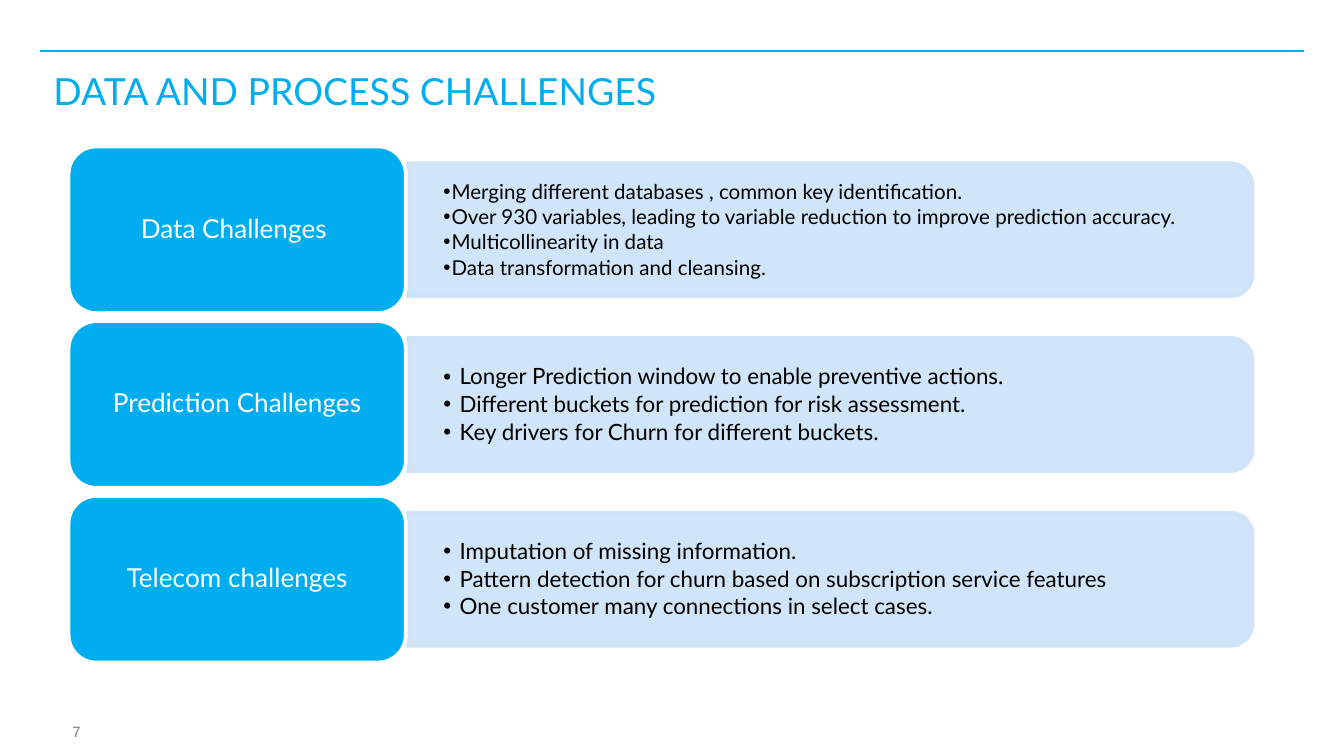
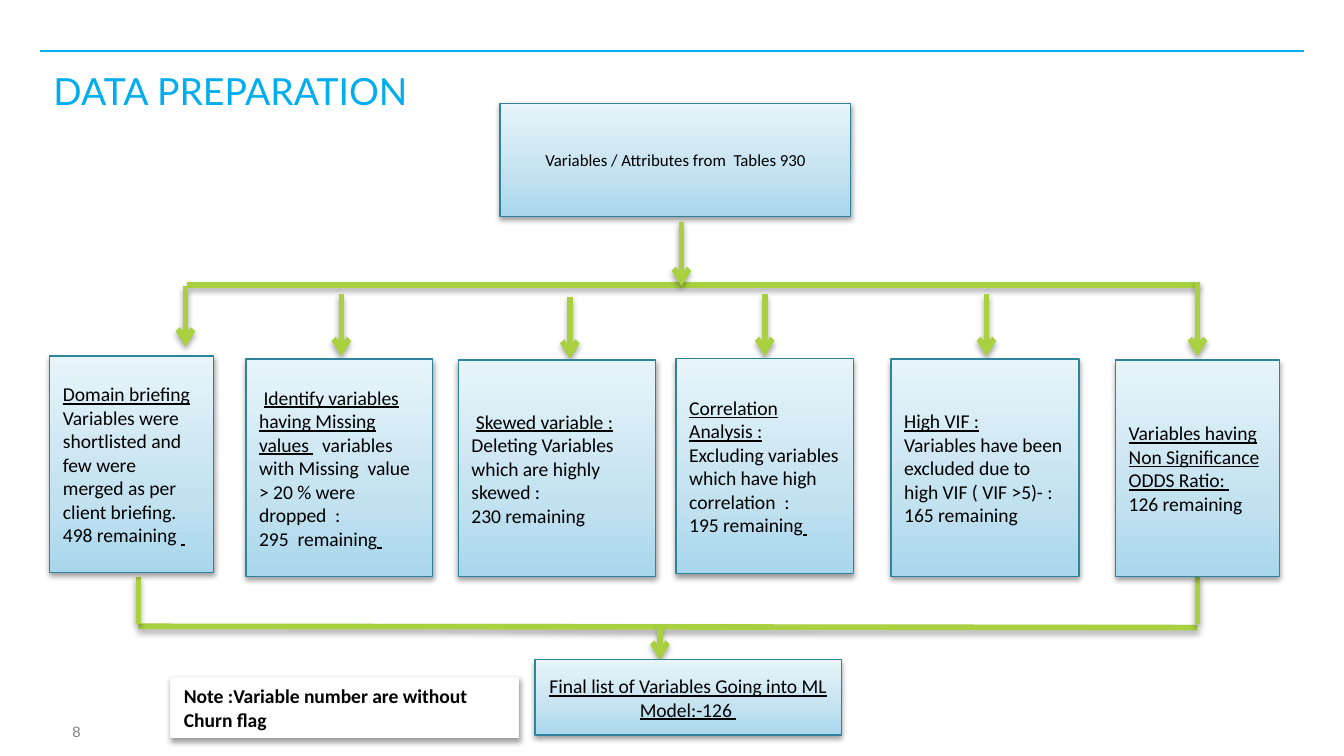
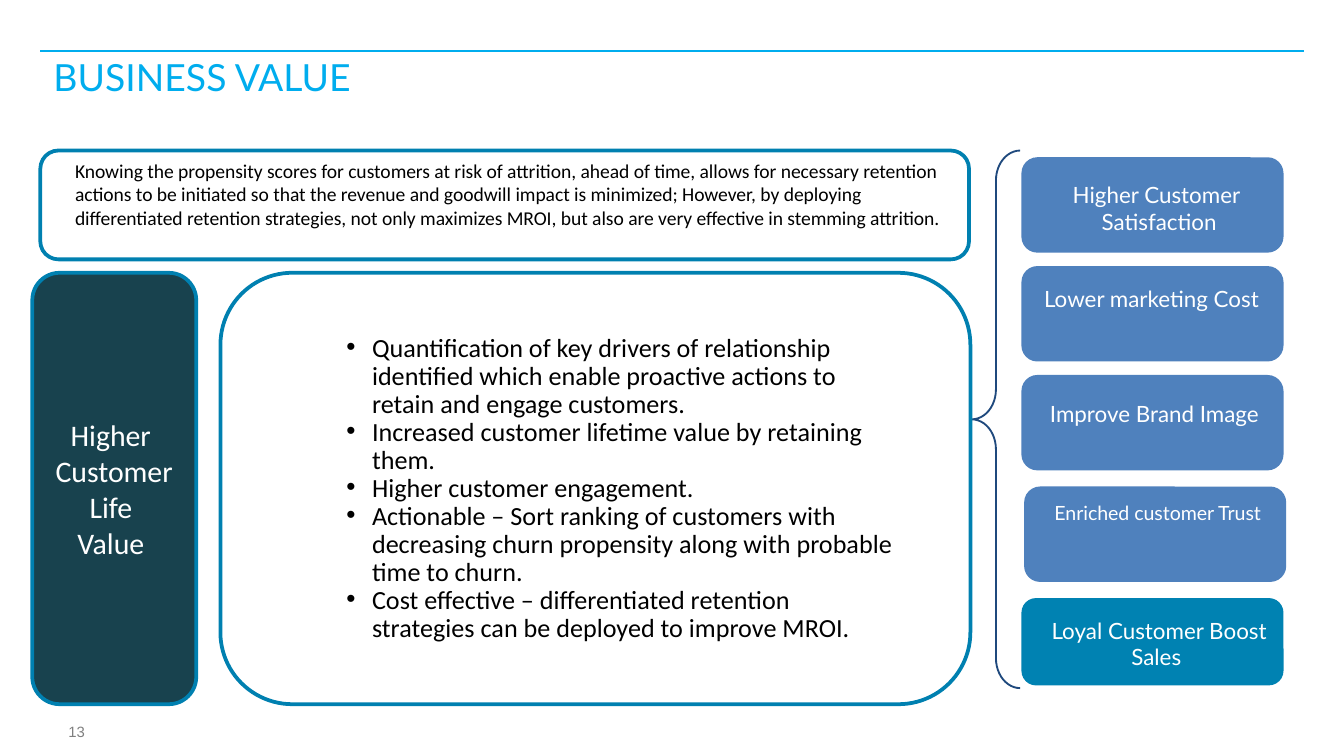
from copy import deepcopy
from lxml.etree import SubElement
from pptx import Presentation
from pptx.dml.color import RGBColor
from pptx.enum.shapes import MSO_CONNECTOR, MSO_SHAPE as Preset
from pptx.enum.text import MSO_ANCHOR as Anchor, PP_ALIGN as Align
from pptx.oxml.ns import qn
from pptx.util import Inches, Pt

SKY = RGBColor(0x00, 0xAD, 0xEE)
PALE = RGBColor(0xCC, 0xE3, 0xF8)
WHITE = RGBColor(0xFF, 0xFF, 0xFF)
BLACK = RGBColor(0x00, 0x00, 0x00)
GREY = RGBColor(0x80, 0x80, 0x80)
NOTE_EDGE = RGBColor(0xF9, 0xF9, 0xF9)
LIME = RGBColor(0xA8, 0xD0, 0x3F)
TEAL = RGBColor(0x2D, 0x84, 0x9B)
DEEP_TEAL = RGBColor(0x18, 0x42, 0x4E)
OCEAN = RGBColor(0x00, 0x80, 0xB0)
LOYAL = RGBColor(0x00, 0x82, 0xB2)
STEEL = RGBColor(0x4F, 0x81, 0xBD)
NAVY = RGBColor(0x1F, 0x49, 0x7D)
STEP_GRADIENT = [
    (0, RGBColor(0xA8, 0xD6, 0xEC)),
    (0.35, RGBColor(0xC3, 0xE2, 0xF0)),
    (1, RGBColor(0xE7, 0xF4, 0xFA)),
]

SLIDE_WIDTH = Inches(10)
SLIDE_HEIGHT = SLIDE_WIDTH * 9 // 16
LATO = {"name": "Lato"}
CALIBRI = {"name": "Calibri", "size": Pt(10.5)}
NO_INSETS = (0, 0, 0, 0)
DEFAULT_INSETS = (0.1, 0.05, 0.1, 0.05)

CHALLENGES = [
    ("Data Challenges ", 11, 0.06, [
        "Merging different databases , common key identification.",
        "Over 930 variables, leading to variable reduction to improve prediction accuracy.",
        "Multicollinearity in data",
        "Data transformation and cleansing.",
    ]),
    ("Prediction Challenges", 12, 0.12, [
        "Longer Prediction window to enable preventive actions.",
        "Different buckets for prediction for risk assessment.",
        "Key drivers for Churn for different buckets.",
    ]),
    ("Telecom challenges", 12, 0.12, [
        "Imputation of missing information.",
        "Pattern detection for churn based on subscription service features",
        "One customer many connections in select cases.",
    ]),
]

ALL_VARIABLES = "Variables / Attributes from  Tables 930"
FINAL_LIST = "Final list of Variables Going into ML Model:-126 "
CHURN_NOTE = "Note :Variable number are without Churn flag"
UNDERLINED = True
PLAIN = False
STEPS = [
    ((0.37, 2.65, 1.22, 1.61), [
        [("Domain briefing", UNDERLINED)],
        [("Variables were shortlisted and few were merged as per client briefing. ", PLAIN)],
        [("498 remaining ", PLAIN), (" ", UNDERLINED)],
    ]),
    ((1.83, 2.67, 1.39, 1.62), [
        [(" ", PLAIN), ("Identify variables having Missing values ", UNDERLINED),
         ("  variables with Missing  value > 20 % were dropped  :", PLAIN)],
        [("295  remaining", PLAIN), (" ", UNDERLINED)],
    ]),
    ((3.41, 2.68, 1.47, 1.61), [
        [(" ", PLAIN), ("Skewed variable :", UNDERLINED)],
        [("Deleting Variables which are highly skewed :", PLAIN)],
        [("230 remaining", PLAIN)],
    ]),
    ((5.03, 2.67, 1.32, 1.6), [
        [("Correlation Analysis :", UNDERLINED),
         (" Excluding variables which have high correlation  :", PLAIN)],
        [("195 remaining", PLAIN), (" ", UNDERLINED)],
    ]),
    ((6.63, 2.67, 1.4, 1.62), [
        [("High VIF :", UNDERLINED), (" ", PLAIN)],
        [("Variables have been excluded due to high VIF ( VIF >5)- :", PLAIN)],
        [("165 remaining", PLAIN)],
    ]),
    ((8.3, 2.68, 1.22, 1.61), [
        [("Variables having Non Significance ODDS Ratio: ", UNDERLINED)],
        [("126 remaining", PLAIN)],
    ]),
]
ARROWS = [
    (5.07, 1.65, 2.13), (1.38, 2.13, 2.58), (2.54, 2.19, 2.65), (4.24, 2.21, 2.67),
    (5.69, 2.19, 2.65), (7.34, 2.19, 2.65), (8.91, 2.1, 2.65), (4.91, 4.66, 4.91),
]
RAILS = [
    (1.39, 2.12, 8.91, 2.12), (1.03, 4.66, 8.91, 4.67),
    (1.03, 4.29, 1.03, 4.64), (8.91, 4.29, 8.91, 4.64),
]

PROPENSITY = (
    "Knowing the propensity scores for customers at risk of attrition, ahead of time, "
    "allows for necessary retention actions to be initiated so that the revenue and goodwill "
    "impact is minimized; However, by deploying differentiated retention strategies, not only "
    "maximizes MROI, but also are very effective in stemming attrition."
)
LIFE_VALUE = ["Higher ", "Customer", "Life ", "Value "]
GAINS = [
    "Quantification of key drivers of relationship identified which enable proactive actions "
    "to retain and engage customers.",
    "Increased customer lifetime value by retaining them.",
    "Higher customer engagement.",
    "Actionable – Sort ranking of customers with decreasing churn propensity along with "
    "probable time to churn.",
    "Cost effective – differentiated retention strategies can be deployed to improve MROI.",
]
BENEFITS = [
    (["Higher Customer ", "Satisfaction"], 12, (7.6, 1.17, 1.95, 0.71), STEEL, (7.87, 1.3, 1.51, 0.5), False),
    (["Lower marketing Cost "], 12, (7.6, 1.98, 1.95, 0.71), STEEL, (7.66, 2.07, 1.86, 0.3), False),
    (["Improve Brand Image"], 12, (7.6, 2.79, 1.95, 0.71), STEEL, (7.69, 2.93, 1.8, 0.3), False),
    (["Enriched customer Trust"], 10.5, (7.62, 3.62, 1.95, 0.71), STEEL, (7.56, 3.68, 2.11, 0.28), True),
    (["Loyal Customer Boost Sales "], 12, (7.6, 4.45, 1.95, 0.65), LOYAL, (7.65, 4.54, 1.95, 0.5), True),
]


def set_all(target, values):
    for name, value in values.items():
        setattr(target, name, value)


def add_bullet(paragraph, indent, hanging):
    props = paragraph._p.get_or_add_pPr()
    props.set("marL", str(Inches(indent)))
    props.set("indent", str(-Inches(hanging)))
    SubElement(props, qn("a:buFont"), typeface="Arial")
    SubElement(props, qn("a:buChar"), char="•")


def write(shape, lines, font, color, anchor=Anchor.TOP, insets=DEFAULT_INSETS,
          wrap=True, bullet=None, **layout):
    frame = shape.text_frame
    sides = ("margin_left", "margin_top", "margin_right", "margin_bottom")
    set_all(frame, {side: Inches(inset) for side, inset in zip(sides, insets)})
    set_all(frame, {"word_wrap": wrap, "vertical_anchor": anchor})
    for number, line in enumerate(lines):
        paragraph = frame.add_paragraph() if number else frame.paragraphs[0]
        if bullet:
            add_bullet(paragraph, *bullet)
        set_all(paragraph, {"alignment": Align.LEFT, **layout})
        for text, underline in [(line, None)] if isinstance(line, str) else line:
            run = paragraph.add_run()
            run.text = text
            set_all(run.font, {**font, "underline": underline})
            run.font.color.rgb = color


def add_text(slide, box, lines, font, color, **options):
    write(slide.shapes.add_textbox(*map(Inches, box)), lines, font, color, **options)


def add_box(slide, preset, box, fill=None, edge=None, width=2.0):
    shape = slide.shapes.add_shape(preset, *map(Inches, box))
    shape.shadow.inherit = False
    if fill is None:
        shape.fill.background()
    else:
        shape.fill.solid()
        shape.fill.fore_color.rgb = fill
    if edge is None:
        shape.line.fill.background()
    else:
        shape.line.color.rgb = edge
        shape.line.width = Pt(width)
    return shape


def cast_shadow(effects, alpha, distance):
    shadow = SubElement(effects, qn("a:outerShdw"), blurRad=str(Pt(3.1)), dist=str(Pt(distance)),
                        dir="5400000", rotWithShape="0")
    tint = SubElement(shadow, qn("a:srgbClr"), val=str(BLACK))
    SubElement(tint, qn("a:alpha"), val=str(alpha * 1000))


def add_line(slide, ends, color, width):
    line = slide.shapes.add_connector(MSO_CONNECTOR.STRAIGHT, *map(Inches, ends))
    line.line.color.rgb = color
    line.line.width = Pt(width)
    return line, SubElement(line.element.spPr, qn("a:effectLst"))


def add_flow(slide, ends, arrow=False):
    line, effects = add_line(slide, ends, LIME, 3)
    cast_shadow(effects, 35, 1.8)
    if arrow:
        SubElement(line.element.spPr.find(qn("a:ln")), qn("a:tailEnd"), type="arrow")


def add_raised(slide, box, fill, edge):
    shape = add_box(slide, Preset.RECTANGLE, box, fill, edge, 0.75)
    cast_shadow(shape.element.spPr.find(qn("a:effectLst")), 38, 1.6)
    return shape


def add_step(slide, box, lines, **options):
    shape = add_raised(slide, box, WHITE, TEAL)
    shape.fill.gradient()
    shape.fill.gradient_angle = 90
    stops = shape.element.spPr.find(".//" + qn("a:gsLst"))
    stops.append(deepcopy(stops[0]))
    for stop, (position, color) in zip(shape.fill.gradient_stops, STEP_GRADIENT):
        stop.position = position
        stop.color.rgb = color
    write(shape, lines, **{"font": CALIBRI, "color": BLACK, "anchor": Anchor.MIDDLE, **options})


def start_slide(deck, title, number, anchor=Anchor.MIDDLE, insets=DEFAULT_INSETS):
    slide = deck.slides.add_slide(deck.slide_layouts[6])
    add_line(slide, (0.3, 0.38, 9.7, 0.38), SKY, 0.75)
    add_text(slide, (0.31, 5.38, 0.52, 0.24), [number], {"name": "Arial", "size": Pt(8)}, GREY,
             insets=(0.1, 0, 0.1, 0), alignment=Align.CENTER)
    add_text(slide, (0.3, 0.4, 9, 0.55), [title], {**LATO, "size": Pt(20)}, SKY,
             anchor=anchor, insets=insets)
    return slide


def build_challenges(deck):
    slide = start_slide(deck, "DATA AND PROCESS CHALLENGES", "7")
    depth, length = 0.99, 6.29
    for row, (heading, size, indent, points) in enumerate(CHALLENGES):
        top = 1.09 + 1.3 * row
        middle = top + 0.62
        panel = add_box(slide, Preset.ROUND_2_SAME_RECTANGLE,
                        (3.03 + (length - depth) / 2, middle - length / 2, depth, length), PALE, PALE)
        panel.rotation = 90
        for tint in panel.element.spPr.iter(qn("a:srgbClr")):
            SubElement(tint, qn("a:alpha"), val="90000")
        add_text(slide, (3.03, top + 0.18, 6.24, 0.89), points, {**LATO, "size": Pt(size)}, BLACK,
                 anchor=Anchor.MIDDLE, insets=(0.27, 0.14, 0.27, 0.14), bullet=(indent, indent),
                 line_spacing=0.9, space_after=Pt(size * 0.15))
        card = add_box(slide, Preset.ROUNDED_RECTANGLE, (0.51, top, 2.51, 1.24), SKY, WHITE)
        write(card, [heading], {**LATO, "size": Pt(14)}, WHITE, anchor=Anchor.MIDDLE,
              alignment=Align.CENTER, line_spacing=0.9)


def build_preparation(deck):
    slide = start_slide(deck, "DATA PREPARATION", "8")
    add_step(slide, (3.72, 0.77, 2.61, 0.84), [ALL_VARIABLES],
             font={**CALIBRI, "size": Pt(9)}, alignment=Align.CENTER)
    for ends in RAILS:
        add_flow(slide, ends)
    for x, top, bottom in ARROWS:
        add_flow(slide, (x, top, x, bottom), arrow=True)
    for box, lines in STEPS:
        add_step(slide, box, lines)
    add_step(slide, (3.98, 4.91, 2.28, 0.56), [[(FINAL_LIST, UNDERLINED)]], alignment=Align.CENTER)
    note = add_raised(slide, (1.27, 5.04, 2.59, 0.45), WHITE, NOTE_EDGE)
    write(note, [CHURN_NOTE], {**CALIBRI, "bold": True}, BLACK)


def build_value(deck):
    slide = start_slide(deck, "BUSINESS VALUE", "13", Anchor.TOP, (0.1, 0, 0.1, 0))
    life = add_box(slide, Preset.ROUNDED_RECTANGLE, (0.24, 2.03, 1.22, 3.21), DEEP_TEAL, OCEAN)
    write(life, LIFE_VALUE, {**CALIBRI, "size": Pt(16)}, WHITE, anchor=Anchor.MIDDLE,
          insets=NO_INSETS, alignment=Align.CENTER)
    for lines, size, card, fill, label, wrap in BENEFITS:
        add_box(slide, Preset.ROUNDED_RECTANGLE, card, fill)
        add_text(slide, label, lines, {**LATO, "size": Pt(size)}, WHITE, wrap=wrap,
                 alignment=Align.CENTER)
    brace = add_box(slide, Preset.RIGHT_BRACE, (7.23, 1.12, 0.36, 4), edge=NAVY, width=1)
    brace.rotation = 180
    brace.adjustments[0] = 0.62
    brace.adjustments[1] = 0.5
    add_text(slide, (1.73, 2.44, 5.04, 3.05), GAINS, {**CALIBRI, "size": Pt(14)}, BLACK,
             bullet=(0.94, 0.19), line_spacing=Pt(15))
    for frame in [(1.64, 2.03, 5.58, 3.21), (0.3, 1.12, 6.91, 0.81)]:
        add_box(slide, Preset.ROUNDED_RECTANGLE, frame, edge=OCEAN)
    add_text(slide, (0.46, 1.13, 6.71, 0.81), [PROPENSITY], CALIBRI, BLACK)


def main():
    deck = Presentation()
    set_all(deck, {"slide_width": SLIDE_WIDTH, "slide_height": SLIDE_HEIGHT})
    for build in (build_challenges, build_preparation, build_value):
        build(deck)
    deck.save("out.pptx")


if __name__ == "__main__":
    main()
